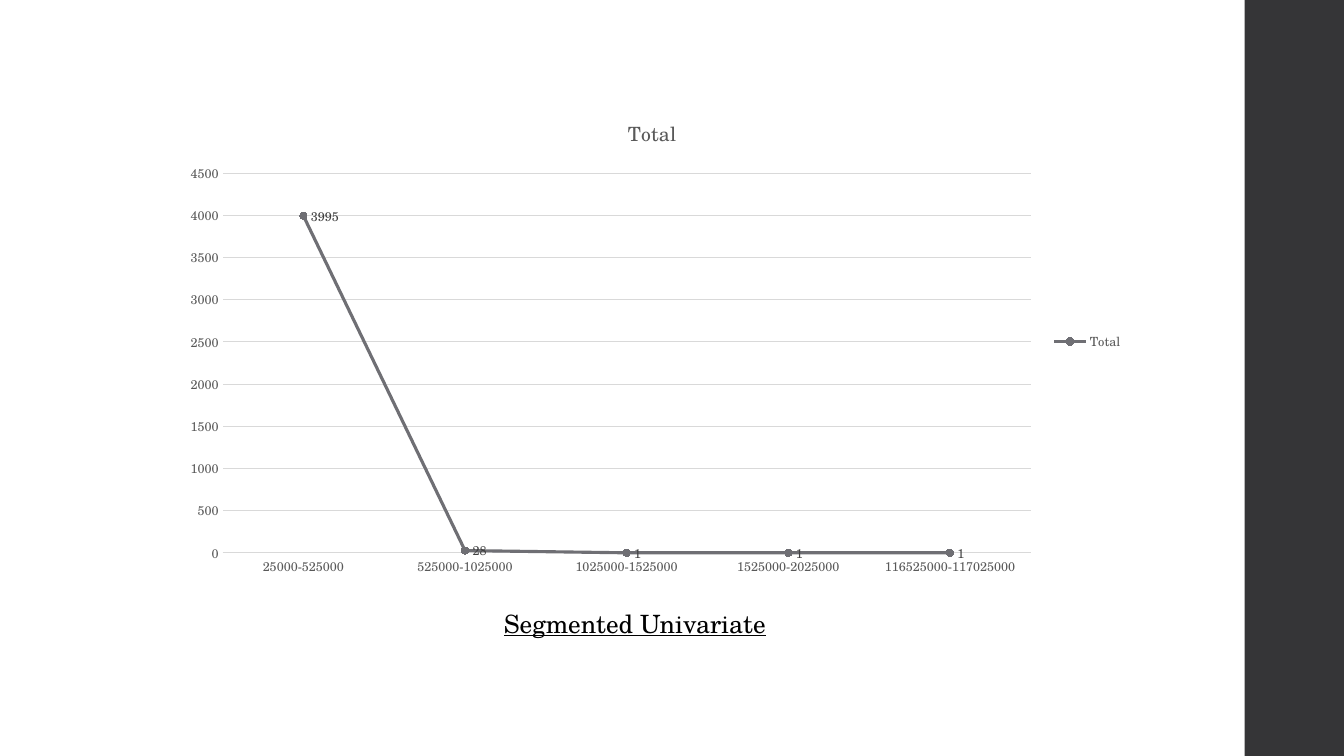
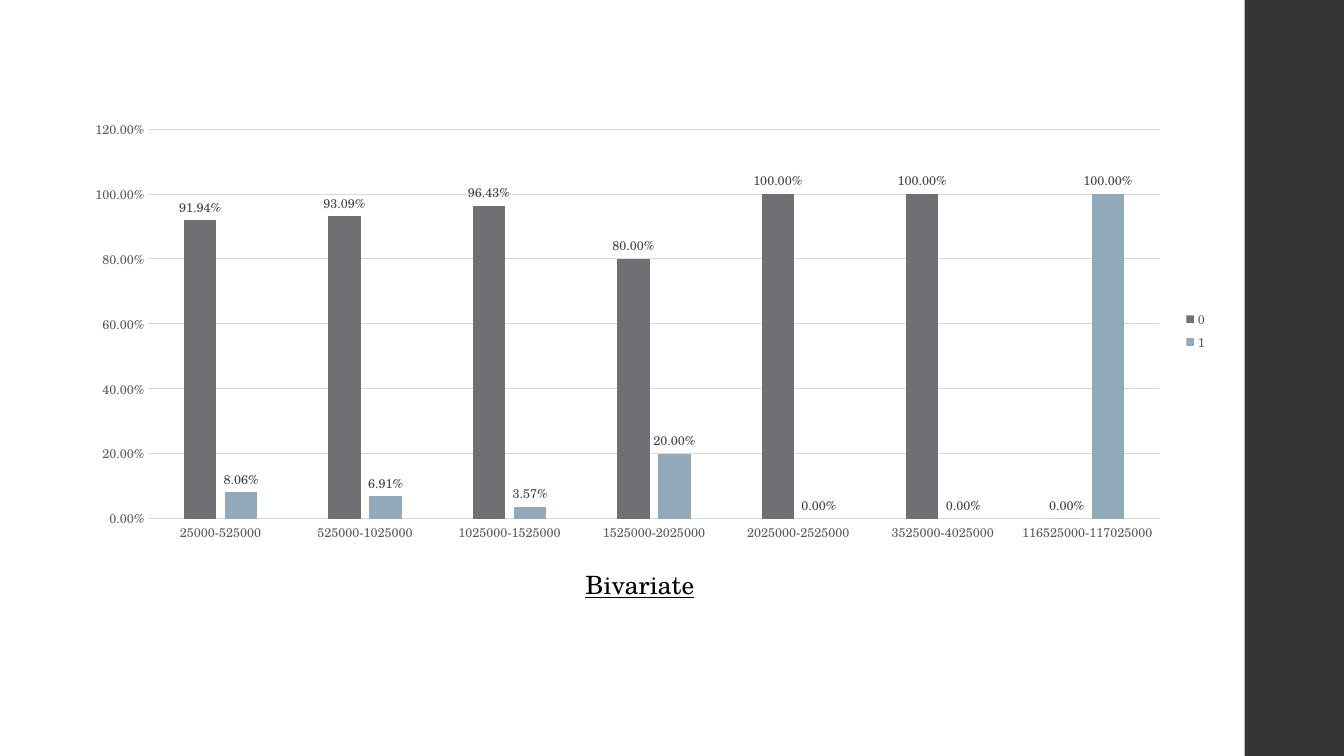
from pptx import Presentation
from pptx.chart.data import CategoryChartData
from pptx.dml.color import RGBColor
from pptx.enum.chart import (
    XL_CHART_TYPE as ChartType,
    XL_LABEL_POSITION as LabelPosition,
    XL_LEGEND_POSITION as LegendPosition,
    XL_MARKER_STYLE as MarkerStyle,
    XL_TICK_MARK as TickMark,
)
from pptx.enum.shapes import MSO_SHAPE as Preset
from pptx.enum.text import MSO_AUTO_SIZE as AutoSize
from pptx.util import Pt


def color(hex_code):
    return RGBColor.from_string(hex_code)


class Deck:
    FONT = "TeX Gyre Schola"
    WIDTH, HEIGHT = 960, 540
    BAND_LEFT = 889
    BLACK, BAND, GRID = "000000", "353537", "D9D9D9"
    AXIS_TEXT, LABEL_TEXT = "595959", "404040"
    SERIES_COLORS = ("6F6F74", "92A9B9")

    def __init__(self):
        self.presentation = Presentation()
        self.presentation.slide_width = Pt(self.WIDTH)
        self.presentation.slide_height = Pt(self.HEIGHT)
        self.slide = None

    def style_font(self, font, size, hex_code):
        font.name = self.FONT
        font.size = Pt(size)
        font.bold = False
        font.color.rgb = color(hex_code)

    def new_slide(self):
        """Add a blank slide with the dark band at its right edge."""
        layout = self.presentation.slide_layouts[6]
        self.slide = self.presentation.slides.add_slide(layout)
        band = self.slide.shapes.add_shape(
            Preset.RECTANGLE, Pt(self.BAND_LEFT), 0,
            Pt(self.WIDTH - self.BAND_LEFT), Pt(self.HEIGHT))
        band.shadow.inherit = False
        band.fill.solid()
        band.fill.fore_color.rgb = color(self.BAND)
        band.line.fill.background()

    def caption(self, text, left, top, width):
        box = self.slide.shapes.add_textbox(Pt(left), Pt(top), Pt(width), Pt(29))
        frame = box.text_frame
        frame.word_wrap = True
        frame.auto_size = AutoSize.SHAPE_TO_FIT_TEXT
        frame.text = text
        font = frame.paragraphs[0].runs[0].font
        self.style_font(font, 18, self.BLACK)
        font.underline = True

    def style_axes(self, chart, maximum, step, number_format):
        for axis in (chart.category_axis, chart.value_axis):
            axis.major_tick_mark = axis.minor_tick_mark = TickMark.NONE
            self.style_font(axis.tick_labels.font, 9, self.AXIS_TEXT)

        categories, values = chart.category_axis, chart.value_axis
        values.minimum_scale, values.maximum_scale = 0, maximum
        values.major_unit = step
        values.has_major_gridlines = True
        values.format.line.fill.background()
        values.tick_labels.number_format = number_format
        values.tick_labels.number_format_is_linked = False
        for line in (categories.format.line, values.major_gridlines.format.line):
            line.color.rgb = color(self.GRID)
            line.width = Pt(0.75)

    def add_chart(self, kind, place, categories, series, maximum, step,
                  number_format="General", title=None, label_position=None):
        """Add a chart with the shared axes, legend and value labels."""
        data = CategoryChartData(number_format=number_format)
        data.categories = categories
        for name, values in series.items():
            data.add_series(name, values)
        frame = self.slide.shapes.add_chart(kind, *map(Pt, place), data)
        chart = frame.chart
        self.style_font(chart.font, 10, self.BLACK)

        chart.has_title = title is not None
        if title is not None:
            heading = chart.chart_title.text_frame
            heading.text = title
            self.style_font(heading.paragraphs[0].runs[0].font, 14, self.AXIS_TEXT)

        chart.has_legend = True
        chart.legend.position = LegendPosition.RIGHT
        chart.legend.include_in_layout = False
        self.style_font(chart.legend.font, 9, self.AXIS_TEXT)
        self.style_axes(chart, maximum, step, number_format)

        plot = chart.plots[0]
        plot.vary_by_categories = False
        for entry in plot.series:
            labels = entry.data_labels
            labels.show_value = True
            labels.number_format = number_format
            labels.number_format_is_linked = False
            if label_position is not None:
                labels.position = label_position
            self.style_font(labels.font, 9, self.LABEL_TEXT)
        return plot

    def line_chart(self, *args, **options):
        plot = self.add_chart(ChartType.LINE_MARKERS, *args,
                              label_position=LabelPosition.RIGHT, **options)
        for entry, hex_code in zip(plot.series, self.SERIES_COLORS):
            entry.smooth = False
            entry.format.line.color.rgb = color(hex_code)
            entry.format.line.width = Pt(2.25)
            marker = entry.marker
            marker.style = MarkerStyle.CIRCLE
            marker.size = 5
            marker.format.fill.solid()
            marker.format.fill.fore_color.rgb = color(hex_code)
            marker.format.line.color.rgb = color(hex_code)

    def column_chart(self, *args, **options):
        plot = self.add_chart(ChartType.COLUMN_CLUSTERED, *args,
                              label_position=LabelPosition.OUTSIDE_END, **options)
        plot.gap_width = 219
        plot.overlap = -27
        for entry, hex_code in zip(plot.series, self.SERIES_COLORS):
            entry.format.fill.solid()
            entry.format.fill.fore_color.rgb = color(hex_code)


def main():
    low_ranges = ["25000-525000", "525000-1025000",
                  "1025000-1525000", "1525000-2025000"]
    middle_ranges = ["2025000-2525000", "3525000-4025000"]
    top_range = ["116525000-117025000"]

    deck = Deck()

    deck.new_slide()
    deck.line_chart((122.4, 69.8, 686.9, 348.5), low_ranges + top_range,
                    {"Total": (3995, 28, 1, 1, 1)},
                    maximum=4500, step=500, title="Total")
    deck.caption("Segmented Univariate", 352.8, 430.6, 226)

    deck.new_slide()
    deck.column_chart((51.8, 79.2, 817.9, 313.9),
                      low_ranges + middle_ranges + top_range,
                      {"0": (0.9194, 0.9309, 0.9643, 0.8, 1, 1, 0),
                       "1": (0.0806, 0.0691, 0.0357, 0.2, 0, 0, 1)},
                      maximum=1.2, step=0.2, number_format="0.00%")
    deck.caption("Bivariate", 411.1, 403.2, 115.2)

    deck.presentation.save("out.pptx")


if __name__ == "__main__":
    main()
